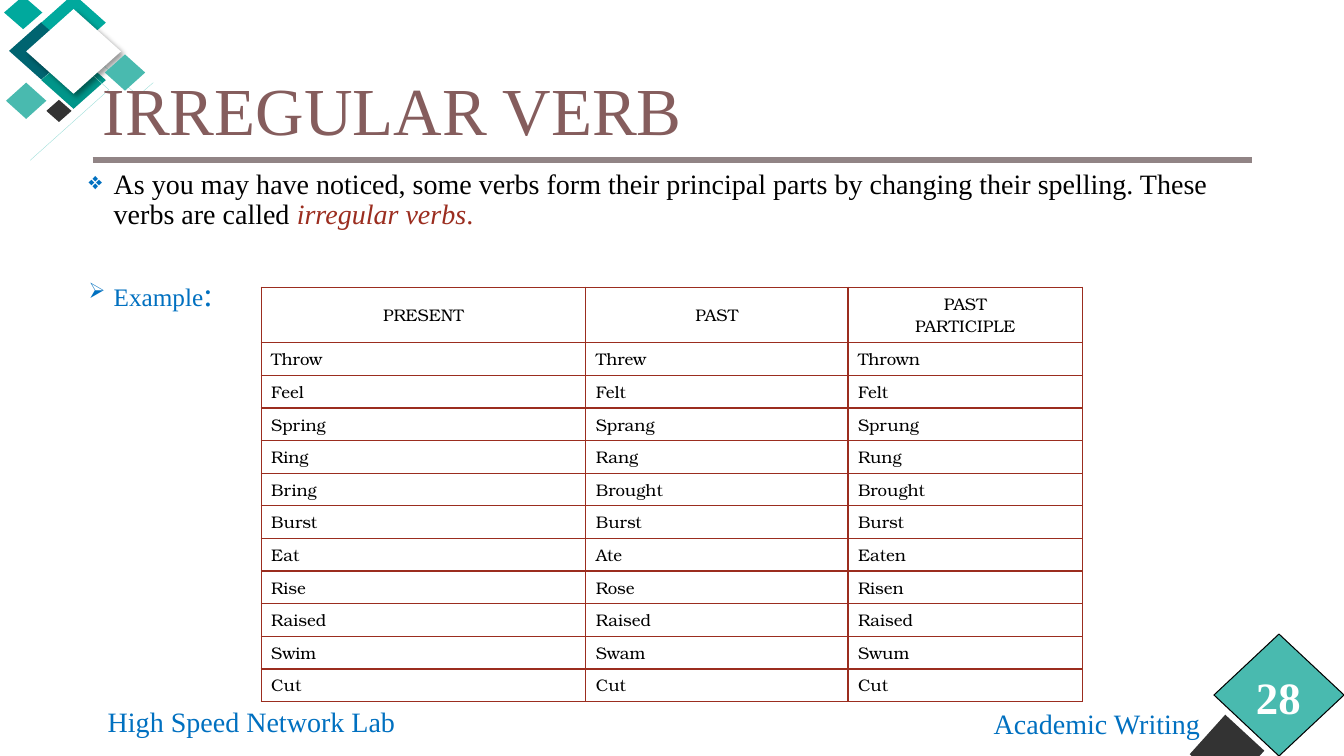
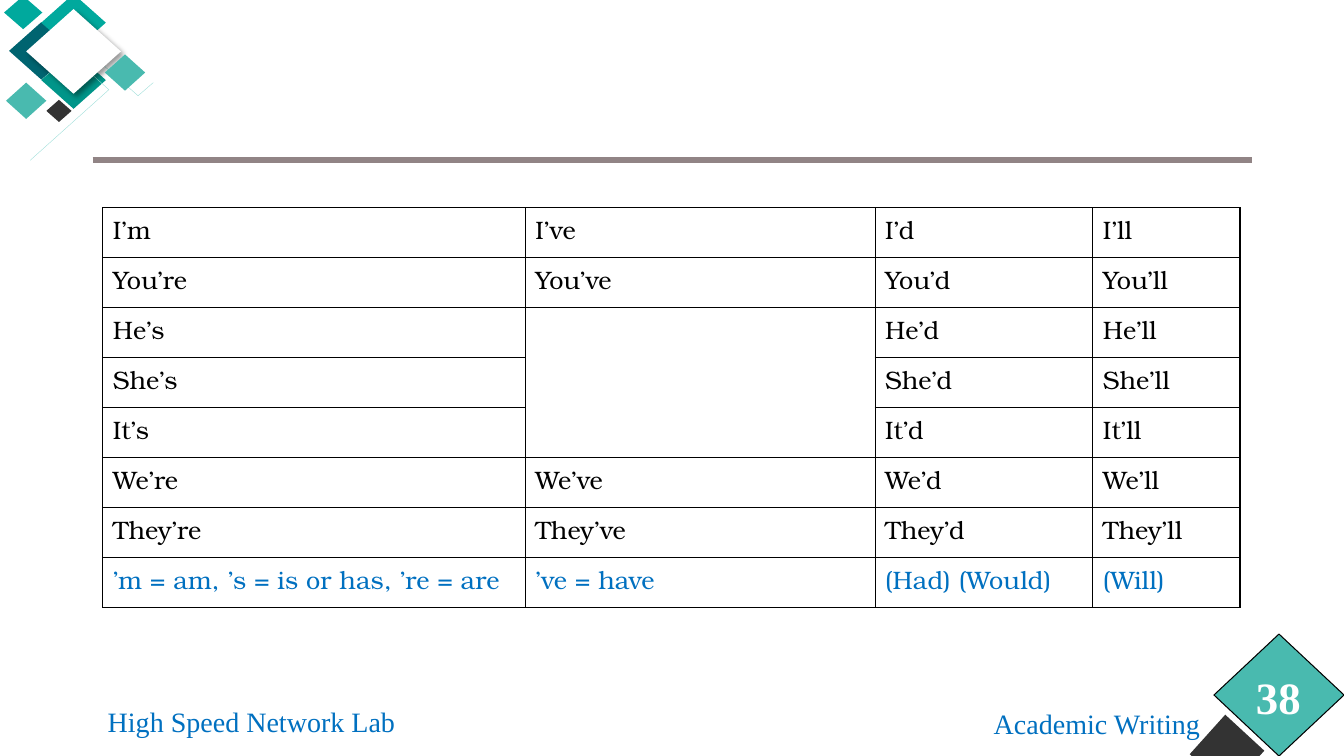
from lxml import etree
from pptx import Presentation
from pptx import util as u
from pptx.dml.color import RGBColor
from pptx.enum import shapes, text
from pptx.oxml import ns, parse_xml

SERIF, TABLE_FONT = "Times New Roman", "TeX Gyre Bonum"
COLORS = {
    "black": "000000", "white": "FFFFFF", "charcoal": "333333",
    "title": "855D5D", "rule": "918485", "blue": "0070C0", "red": "9B2D1F",
    "deep": "006470", "green": "00A99D", "sea": "009589",
    "mint": "49BAAF", "pale": "99DDD8",
}
TITLE_ONLY, BLANK = 5, 6
LEFT, CENTER = text.PP_ALIGN.LEFT, text.PP_ALIGN.CENTER
TOP, MIDDLE = text.MSO_ANCHOR.TOP, text.MSO_ANCHOR.MIDDLE

# Corner ornament: left, top, width, height, colour
BACK_DIAMONDS = [
    (0.09, 0.22, 0.64, 0.57, "deep"),
    (0.41, -0.06, 0.64, 0.57, "green"),
    (0.04, -0.04, 0.38, 0.33, "green"),
    (0.41, 0.51, 0.64, 0.57, "sea"),
    (0.46, 0.99, 0.25, 0.22, "charcoal"),
]
FRONT_DIAMONDS = [
    (1.04, 0.54, 0.4, 0.36, "mint"),
    (0.06, 0.82, 0.4, 0.36, "mint"),
]
HAIRLINES = [
    (0.69, 0.54, 1.08, 0.89), (1.08, 0.89, 0.3, 1.59),
    (0.8, 0.45, 1.37, 0.95), (1.37, 0.95, 1.52, 0.82),
]

VERBS = [
    ("PRESENT", "PAST", "PAST\vPARTICIPLE"),
    ("Throw", "Threw", "Thrown"),
    ("Feel", "Felt", "Felt"),
    ("Spring", "Sprang", "Sprung"),
    ("Ring", "Rang", "Rung"),
    ("Bring", "Brought", "Brought"),
    ("Burst", "Burst", "Burst"),
    ("Eat", "Ate", "Eaten"),
    ("Rise", "Rose", "Risen"),
    ("Raised", "Raised", "Raised"),
    ("Swim", "Swam", "Swum"),
    ("Cut", "Cut", "Cut"),
]
CONTRACTIONS = [
    ("I’m", "I’ve", "I’d", "I’ll"),
    ("You’re", "You’ve", "You’d", "You’ll"),
    ("He’s", "", "He’d", "He’ll"),
    ("She’s", "", "She’d", "She’ll"),
    ("It’s", "", "It’d", "It’ll"),
    ("We’re", "We’ve", "We’d", "We’ll"),
    ("They’re", "They’ve", "They’d", "They’ll"),
    ("’m = am, ’s = is or has, ’re = are", "’ve = have", "(Had) (Would)", "(Will)"),
]


def rgb(color):
    return RGBColor.from_string(COLORS[color])


def inches(*lengths):
    return [u.Inches(length) for length in lengths]


def set_all(target, formats):
    for name, value in formats.items():
        setattr(target, name, value)


def add_run(paragraph, words, size, color, font=SERIF, **formats):
    run = paragraph.add_run()
    run.text = words
    set_all(run.font, {"name": font, "size": u.Pt(size), **formats})
    run.font.color.rgb = rgb(color)


def add_textbox(slide, box, anchor=TOP):
    frame = slide.shapes.add_textbox(*inches(*box)).text_frame
    set_all(frame, {"word_wrap": True, "vertical_anchor": anchor})
    return frame


def add_label(slide, box, words, size, color, align=LEFT, anchor=MIDDLE, **formats):
    paragraph = add_textbox(slide, box, anchor).paragraphs[0]
    paragraph.alignment = align
    add_run(paragraph, words, size, color, **formats)


def add_diamond(slide, left, top, width, height, color):
    diamond = slide.shapes.add_shape(
        shapes.MSO_SHAPE.DIAMOND, *inches(left, top, width, height))
    diamond.shadow.inherit = False
    diamond.fill.solid()
    diamond.fill.fore_color.rgb = rgb(color)
    diamond.line.fill.background()
    return diamond


def add_soft_shadow(shape):
    effects = shape._element.spPr.find(ns.qn("a:effectLst"))
    effects.append(parse_xml(
        f'<a:outerShdw {ns.nsdecls("a")} blurRad="{u.Pt(4)}" dist="{u.Pt(3)}" '
        f'dir="{45 * 60000}" algn="tl" rotWithShape="0">'
        f'<a:srgbClr val="{COLORS["black"]}"><a:alpha val="40000"/></a:srgbClr>'
        '</a:outerShdw>'))


def add_line(slide, ends, color, width):
    line = slide.shapes.add_connector(shapes.MSO_CONNECTOR.STRAIGHT, *inches(*ends))
    line.line.color.rgb = rgb(color)
    line.line.width = u.Pt(width)
    etree.SubElement(line._element.spPr, ns.qn("a:effectLst"))


def add_frame(slide, number):
    # Rule and footers
    add_line(slide, (0.92, 1.59, 12.42, 1.59), "rule", 4.5)
    add_label(slide, (0.97, 6.93, 3.32, 0.46), "High Speed Network Lab", 20, "blue")
    add_label(slide, (9.71, 6.96, 2.34, 0.44), "Academic Writing", 20, "blue",
              CENTER, TOP)

    # Page number badge
    add_diamond(slide, 11.8, 7.09, 0.74, 0.75, "charcoal").rotation = 357.3
    badge = add_diamond(slide, 12.04, 6.29, 1.29, 1.21, "mint")
    badge.line.color.rgb = rgb("black")
    badge.line.width = u.Pt(0.75)
    add_label(slide, (11.96, 6.53, 1.44, 0.76), number, 32, "white", CENTER, bold=True)

    # Corner ornament
    for diamond in BACK_DIAMONDS:
        add_diamond(slide, *diamond)
    for ends in HAIRLINES:
        add_line(slide, ends, "pale", 0.25)
    add_soft_shadow(add_diamond(slide, 0.26, 0.09, 0.94, 0.84, "white"))
    for diamond in FRONT_DIAMONDS:
        add_diamond(slide, *diamond)


def add_title(slide, words):
    title = slide.shapes.title
    slide.shapes._spTree.append(title._element)  # in front of the ornament
    left, top, width, height = inches(0.92, 0.4, 11.5, 1.45)
    set_all(title, {"left": left, "top": top, "width": width, "height": height})
    set_all(title.text_frame, {"vertical_anchor": MIDDLE, "word_wrap": True})
    paragraph = title.text_frame.paragraphs[0]
    set_all(paragraph, {"alignment": LEFT, "line_spacing": 0.9})
    add_run(paragraph, words, 48, "title")


def format_bullet(paragraph, mark):
    paragraph.line_spacing = 0.9
    props = paragraph._p.get_or_add_pPr()
    props.set("marL", str(u.Inches(0.25)))
    props.set("indent", str(-u.Inches(0.25)))
    for xml in (f'<a:buClr {ns.nsdecls("a")}><a:srgbClr val="{COLORS["blue"]}"/></a:buClr>',
                f'<a:buSzPct {ns.nsdecls("a")} val="85000"/>',
                f'<a:buChar {ns.nsdecls("a")} char="{mark}"/>'):
        props.append(parse_xml(xml))


def add_borders(cell, color):
    props = cell._tc.get_or_add_tcPr()
    for side in ("lnL", "lnR", "lnT", "lnB"):
        props.append(parse_xml(
            f'<a:{side} {ns.nsdecls("a")} w="{u.Pt(1)}"><a:solidFill>'
            f'<a:srgbClr val="{COLORS[color]}"/></a:solidFill></a:{side}>'))


def add_grid(slide, left, top, widths, heights, rows, size, border, anchor):
    box = inches(left, top, sum(widths), sum(heights))
    table = slide.shapes.add_table(len(rows), len(widths), *box).table
    set_all(table, {"first_row": False, "horz_banding": False})
    for column, width in zip(table.columns, widths):
        column.width = u.Inches(width)
    for row, height, entries in zip(table.rows, heights, rows):
        row.height = u.Inches(height)
        for cell, entry in zip(row.cells, entries):
            cell.vertical_anchor = anchor
            add_borders(cell, border)
            cell.fill.background()
            if entry:
                cell.text = entry
                set_all(cell.text_frame.paragraphs[0].font,
                        {"name": TABLE_FONT, "size": u.Pt(size)})
                cell.text_frame.paragraphs[0].font.color.rgb = rgb("black")
    return table


def build_irregular_verbs(deck):
    slide = deck.slides.add_slide(deck.slide_layouts[TITLE_ONLY])
    add_frame(slide, "28")
    add_title(slide, "IRREGULAR VERB")

    # Definition and example lead-in
    body = add_textbox(slide, (0.78, 1.64, 11.33, 5.08))
    definition, example = body.paragraphs[0], body.add_paragraph()
    format_bullet(definition, "❖")
    add_run(definition, "As you may have noticed, some verbs form their principal parts "
            "by changing their spelling. These verbs are called ", 20, "black")
    add_run(definition, "irregular verbs", 20, "red", italic=True)
    add_run(definition, ".", 20, "red")
    example.space_before = u.Pt(33)
    format_bullet(example, "➢")
    add_run(example, "Example", 18, "blue")
    add_run(example, ":", 24, "blue")

    # Verb forms
    verb_count = len(VERBS) - 1
    heights = [0.55] + [3.56 / verb_count] * verb_count
    table = add_grid(slide, 2.59, 2.85, [3.22, 2.6, 2.33], heights, VERBS, 12,
                     "red", MIDDLE)
    for heading in table.rows[0].cells:
        for paragraph in heading.text_frame.paragraphs:
            paragraph.alignment = CENTER


def build_contractions(deck):
    slide = deck.slides.add_slide(deck.slide_layouts[BLANK])
    add_frame(slide, "38")
    heights = [3.97 / len(CONTRACTIONS)] * len(CONTRACTIONS)
    table = add_grid(slide, 1.02, 2.06, [4.19, 3.47, 2.16, 1.46], heights,
                     CONTRACTIONS, 18, "black", TOP)
    table.cell(2, 1).merge(table.cell(4, 1))
    for meaning in table.rows[len(CONTRACTIONS) - 1].cells:
        meaning.text_frame.paragraphs[0].font.color.rgb = rgb("blue")


def main():
    deck = Presentation()
    deck.slide_width, deck.slide_height = inches(13.33, 7.5)
    build_irregular_verbs(deck)
    build_contractions(deck)
    deck.save("out.pptx")


if __name__ == "__main__":
    main()
